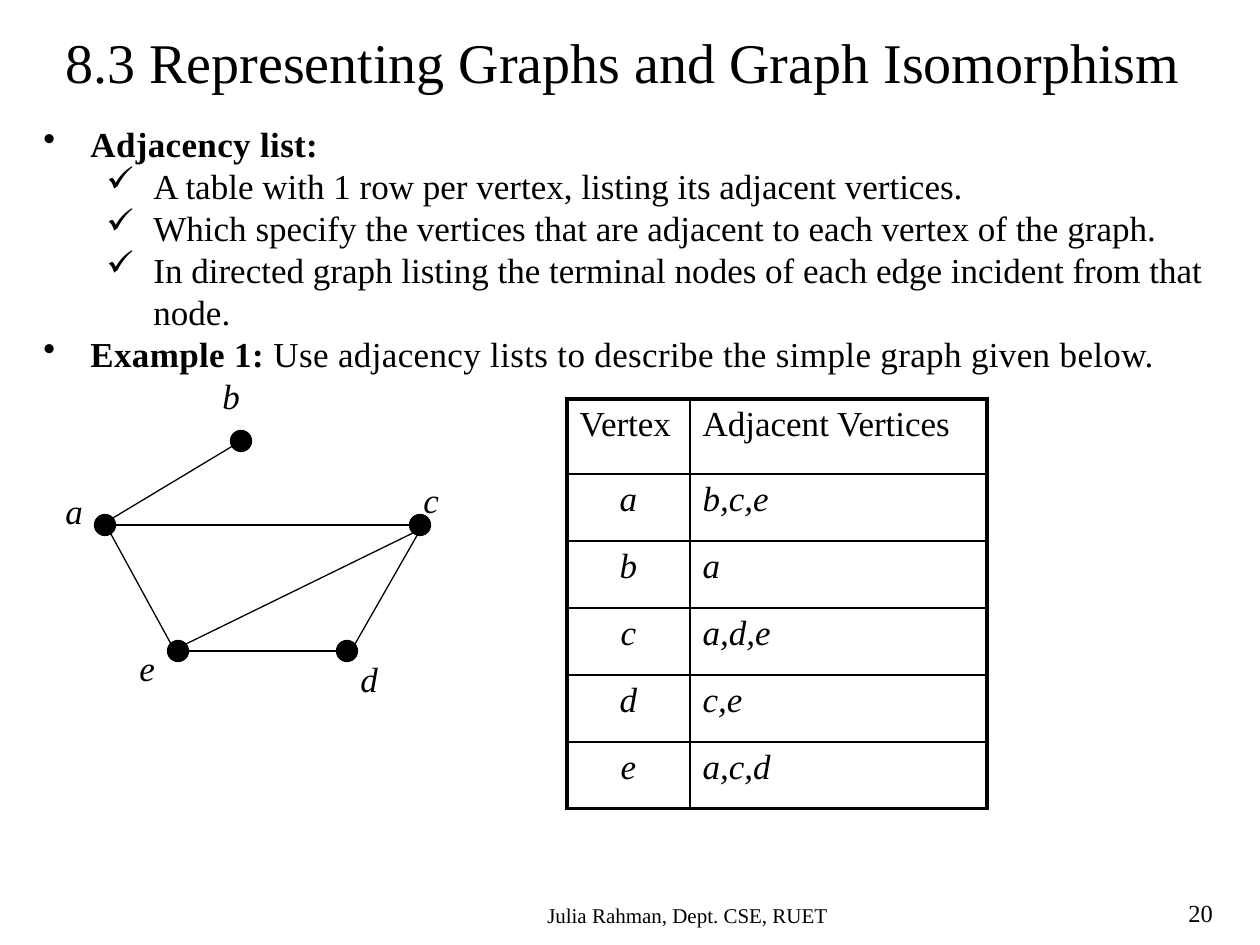
"""Build the slide on adjacency lists: bullets, a simple graph and its table."""
from typing import NamedTuple

from lxml.etree import SubElement
from pptx import Presentation
from pptx.dml.color import RGBColor
from pptx.enum.shapes import MSO_CONNECTOR as Connector, MSO_SHAPE as Shape
from pptx.enum.text import PP_ALIGN as Align
from pptx.oxml.ns import qn
from pptx.util import Emu, Pt

BLACK = RGBColor(0, 0, 0)
FONT = "Times New Roman"
PX_PER_INCH = 126
DOT = 21
THIN, THICK = 1, 2.25


class Bullet(NamedTuple):
    mark: str
    level: int
    bold: str
    plain: str


class Vertex(NamedTuple):
    name: str
    center: tuple[int, int]
    label: tuple[int, int]
    adjacent: str


class Edge(NamedTuple):
    start: tuple[int, int]
    end: tuple[int, int]


BULLETS = [
    Bullet("•", 0, "Adjacency list:", ""),
    Bullet("✓", 1, "", "A table with 1 row per vertex, listing its adjacent vertices."),
    Bullet("✓", 1, "", "Which specify the vertices that are adjacent to each vertex of the graph."),
    Bullet("✓", 1, "", "In directed graph listing the terminal nodes of each edge incident from that node."),
    Bullet("•", 0, "Example 1: ", "Use adjacency lists to describe the simple graph given below."),
]
VERTICES = [
    Vertex("a", (105, 525), (53, 483), "b,c,e"),
    Vertex("b", (241, 441), (210, 368), "a"),
    Vertex("c", (420, 525), (411, 472), "a,d,e"),
    Vertex("d", (347, 651), (348, 651), "c,e"),
    Vertex("e", (178, 651), (127, 640), "a,c,d"),
]
EDGES = [
    Edge((246, 438), (113, 518)),
    Edge((106, 525), (171, 644)),
    Edge((423, 525), (355, 644)),
    Edge((179, 651), (336, 651)),
    Edge((116, 525), (411, 525)),
    Edge((413, 533), (186, 644)),
]


def px(length: int) -> Emu:
    """Turn px into EMU."""
    return Emu(round(length * 914400 / PX_PER_INCH))


def add_run(para, text: str, *, size=20, bold=False, italic=False, spacing=0) -> None:
    """Append a formatted run; spacing is in hundredths of a point."""
    span = para.add_run()
    span.text = text
    span.font.name, span.font.size = FONT, Pt(size)
    span.font.bold, span.font.italic = bold, italic
    span.font.color.rgb = BLACK
    if spacing:
        span.font._element.set("spc", str(spacing))


def add_text(page, text: str, left: int, top: int, width: int, height: int, *,
             align=Align.LEFT, wrap=True, **style):
    """Add a text box holding one line of text, if any."""
    box = page.shapes.add_textbox(px(left), px(top), px(width), px(height))
    box.text_frame.word_wrap = wrap
    para = box.text_frame.paragraphs[0]
    para.alignment = align
    if text:
        add_run(para, text, **style)
    return box


def add_bullets(page, bullets: list[Bullet]) -> None:
    """Add the bulleted body text."""
    frame = add_text(page, "", 31, 116, 1229, 777).text_frame
    for index, bullet in enumerate(bullets):
        para = frame.add_paragraph() if index else frame.paragraphs[0]
        para.level = bullet.level
        layout = para._p.get_or_add_pPr()
        layout.set("marL", str(px(47 + 63 * bullet.level)))
        layout.set("indent", str(-px(47)))
        SubElement(layout, qn("a:buChar"), char=bullet.mark)
        spacing = 0 if bullet.level else 20
        for text, bold in ((bullet.bold, True), (bullet.plain, False)):
            if text:
                add_run(para, text, bold=bold, spacing=spacing)


def add_edge(page, edge: Edge) -> None:
    """Draw one edge of the graph."""
    line = page.shapes.add_connector(Connector.STRAIGHT, *map(px, edge.start + edge.end))
    line.line.color.rgb = BLACK
    line.line.width = Pt(0.75)
    SubElement(line._element.spPr, qn("a:effectLst"))


def add_vertex(page, vertex: Vertex) -> None:
    """Draw one vertex with its label."""
    add_text(page, vertex.name, *vertex.label, 43, 55, wrap=False, italic=True)
    x, y = (px(value) - px(DOT) // 2 for value in vertex.center)
    dot = page.shapes.add_shape(Shape.OVAL, x, y, px(DOT), px(DOT))
    dot.shadow.inherit = False
    dot.fill.solid()
    dot.fill.fore_color.rgb = BLACK
    dot.line.color.rgb = BLACK
    dot.line.width = Pt(0.75)


def set_borders(cell, widths: dict[str, float]) -> None:
    """Give a cell an empty fill and black borders of the given widths."""
    props = cell._tc.get_or_add_tcPr()
    for side, width in widths.items():
        border = SubElement(props, qn(f"a:ln{side}"), w=str(Pt(width)))
        fill = SubElement(border, qn("a:solidFill"))
        SubElement(fill, qn("a:srgbClr"), val=str(BLACK))
    cell.fill.background()


def add_adjacency_table(page, vertices: list[Vertex]) -> None:
    """Add the table of adjacent vertices."""
    rows = [("Vertex", "Adjacent Vertices")] + [(v.name, v.adjacent) for v in vertices]
    widths, heights = (123, 297), [75] + [67] * len(vertices)
    table = page.shapes.add_table(len(rows), len(widths), px(567), px(399),
                                  px(sum(widths)), px(sum(heights))).table
    table.first_row = table.horz_banding = False
    for column, width in zip(table.columns, widths):
        column.width = px(width)
    last_row, last_column = len(rows) - 1, len(widths) - 1
    for r, (texts, height) in enumerate(zip(rows, heights)):
        table.rows[r].height = px(height)
        for c, text in enumerate(texts):
            cell = table.cell(r, c)
            para = cell.text_frame.paragraphs[0]
            para.alignment = Align.CENTER if r and not c else Align.LEFT
            add_run(para, text, italic=r > 0)
            outer = {"L": c == 0, "R": c == last_column, "T": r == 0, "B": r == last_row}
            set_borders(cell, {side: THICK if edge else THIN for side, edge in outer.items()})


def main() -> None:
    """Build and save the deck."""
    deck = Presentation()
    deck.slide_width, deck.slide_height = px(1260), px(945)
    page = deck.slides.add_slide(deck.slide_layouts[6])
    add_bullets(page, BULLETS)
    add_text(page, "20", 1176, 892, 84, 42, size=14)
    add_text(page, "Julia Rahman, Dept. CSE, RUET", 325, 896, 725, 38, align=Align.CENTER, size=12)
    add_text(page, "8.3 Representing Graphs and Graph Isomorphism", 53, 21, 1166, 81, size=32)
    for edge in EDGES:
        add_edge(page, edge)
    for vertex in VERTICES:
        add_vertex(page, vertex)
    add_adjacency_table(page, VERTICES)
    deck.save("out.pptx")


if __name__ == "__main__":
    main()
